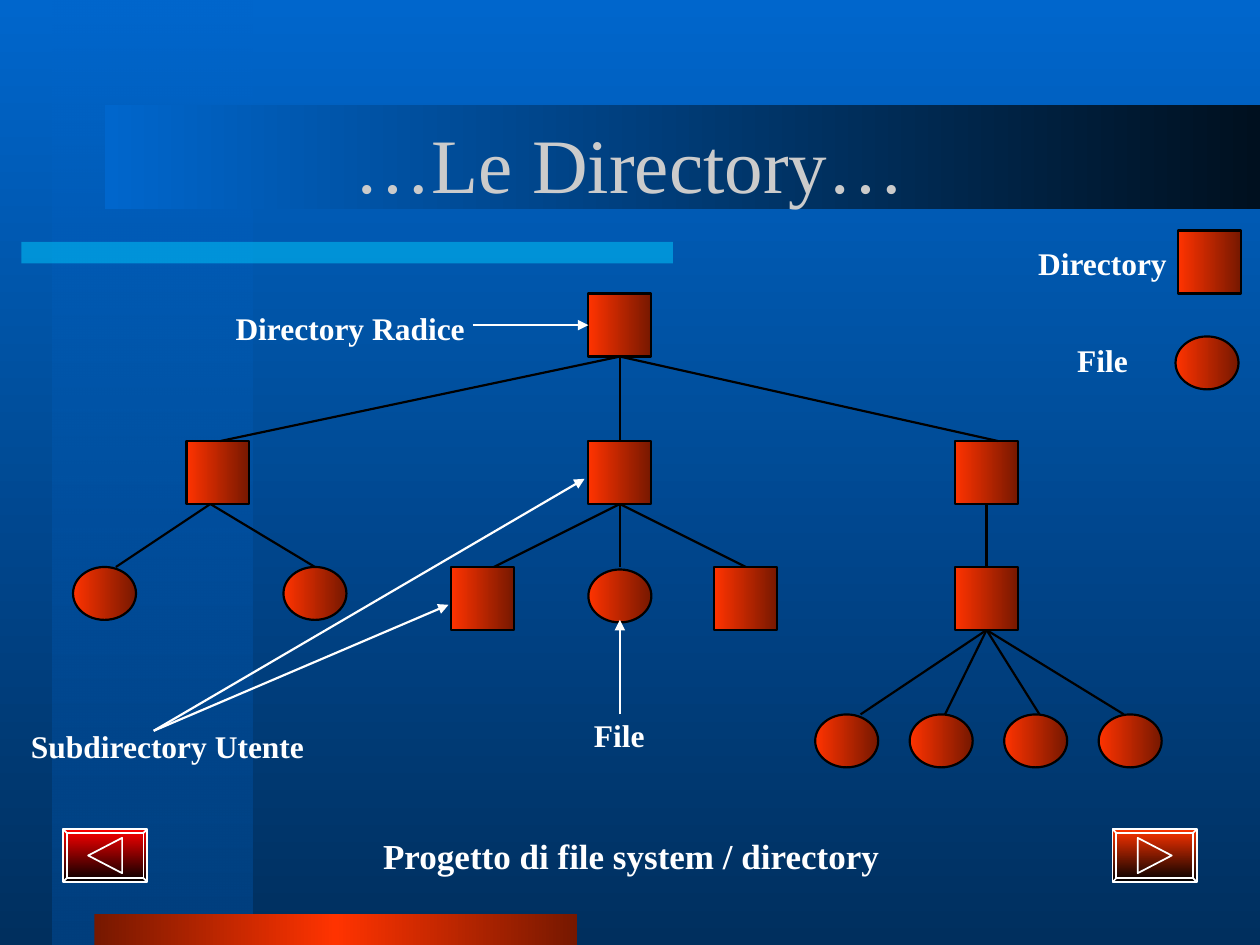
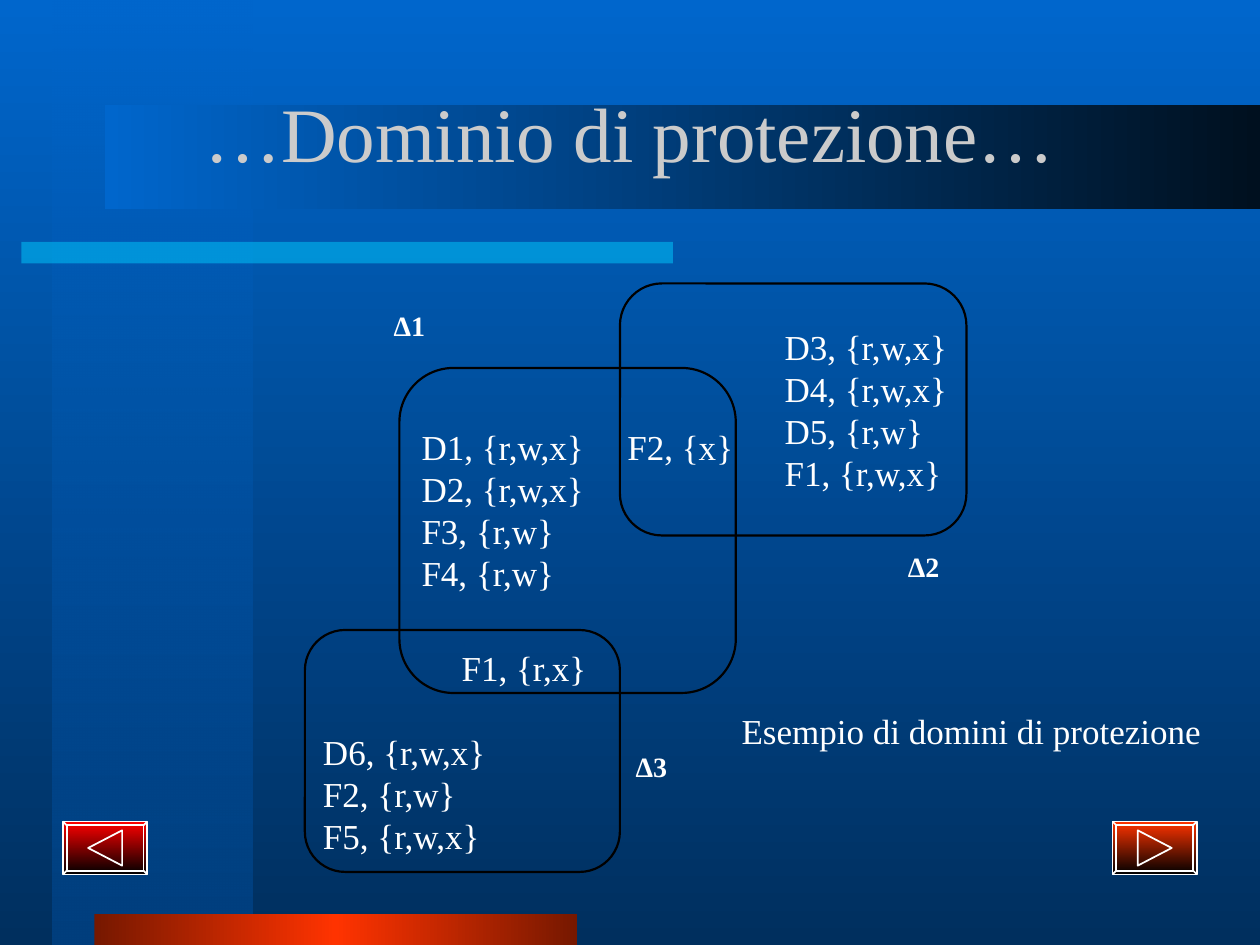
from lxml import etree
from pptx import Presentation
from pptx.dml.color import RGBColor
from pptx.enum.shapes import MSO_CONNECTOR, MSO_SHAPE
from pptx.enum.text import MSO_ANCHOR, PP_ALIGN
from pptx.oxml.ns import qn
from pptx.util import Inches, Pt

RECTANGLE = MSO_SHAPE.RECTANGLE
OVAL = MSO_SHAPE.OVAL
ROUNDED = MSO_SHAPE.ROUNDED_RECTANGLE
STRAIGHT = MSO_CONNECTOR.STRAIGHT
MIDDLE = MSO_ANCHOR.MIDDLE
LEFT, CENTER = PP_ALIGN.LEFT, PP_ALIGN.CENTER

FONT = "Times New Roman"
BLUE = RGBColor(0x00, 0x66, 0xCC)
DEEP_BLUE = RGBColor(0x00, 0x2F, 0x5E)
COLUMN_BLUE = RGBColor(0x00, 0x3F, 0x7E)
NIGHT = RGBColor(0x00, 0x10, 0x1F)
CYAN = RGBColor(0x00, 0xCC, 0xFF)
ORANGE = RGBColor(0xFF, 0x33, 0x00)
RED = RGBColor(0xFF, 0x00, 0x00)
BROWN = RGBColor(0x76, 0x18, 0x00)
BLACK = RGBColor(0x00, 0x00, 0x00)
WHITE = RGBColor(0xFF, 0xFF, 0xFF)
TITLE_GRAY = RGBColor(0xCB, 0xCB, 0xCB)

ACROSS, DOWN = 0, 270
NODE, FILE_HEIGHT = 0.5, 0.42
BUTTON_WIDTH, BUTTON_HEIGHT, BEVEL = 0.67, 0.42, 0.03


def add_alpha(color_element, percent):
    etree.SubElement(color_element, qn("a:alpha")).set("val", str(percent * 1000))


def fill_gradient(owner, fill, angle, colors, first_alpha=100):
    fill.gradient()
    fill.gradient_angle = angle
    stops = owner.element.find(".//" + qn("a:gsLst"))
    for stop in list(stops):
        stops.remove(stop)
    for index, color in enumerate(colors):
        stop = etree.SubElement(stops, qn("a:gs"))
        stop.set("pos", str(100000 * index // (len(colors) - 1)))
        color_element = etree.SubElement(stop, qn("a:srgbClr"))
        color_element.set("val", str(color))
        if index == 0 and first_alpha < 100:
            add_alpha(color_element, first_alpha)


def set_line(shape, color, width):
    shape.line.color.rgb = color
    shape.line.width = Pt(width)


def add_plain_shape(slide, kind, left, top, width, height):
    shape = slide.shapes.add_shape(
        kind, Inches(left), Inches(top), Inches(width), Inches(height))
    shape.shadow.inherit = False
    shape.line.fill.background()
    return shape


def add_gradient_shape(slide, kind, box, angle, colors, first_alpha=100):
    shape = add_plain_shape(slide, kind, *box)
    fill_gradient(shape, shape.fill, angle, colors, first_alpha)
    return shape


def write_lines(text_frame, lines, size, color=WHITE, bold=False, align=CENTER):
    text_frame.vertical_anchor = MIDDLE
    text_frame.text = "\n".join(lines)
    for paragraph in text_frame.paragraphs:
        paragraph.alignment = align
        paragraph.font.name = FONT
        paragraph.font.size = Pt(size)
        paragraph.font.bold = bold
        paragraph.font.color.rgb = color


def set_margins(text_frame, left=0.05, top=0.05, right=0.05, bottom=0.05):
    text_frame.margin_left = Inches(left)
    text_frame.margin_top = Inches(top)
    text_frame.margin_right = Inches(right)
    text_frame.margin_bottom = Inches(bottom)


def add_label(slide, text, left, top, width, height, size=18, bold=True):
    label = slide.shapes.add_textbox(
        Inches(left), Inches(top), Inches(width), Inches(height))
    label.text_frame.word_wrap = True
    set_margins(label.text_frame)
    write_lines(label.text_frame, [text], size, bold=bold)


def add_line(slide, start, end, color=BLACK, arrow=False):
    connector = slide.shapes.add_connector(
        STRAIGHT, *(Inches(value) for value in (*start, *end)))
    set_line(connector, color, 1.25)
    properties = connector.element.spPr
    if arrow:
        tail = etree.SubElement(properties.find(qn("a:ln")), qn("a:tailEnd"))
        tail.set("type", "triangle")
    etree.SubElement(properties, qn("a:effectLst"))


def add_button(slide, left, top, color, points_right):
    box = (left, top, BUTTON_WIDTH, BUTTON_HEIGHT)
    face = add_gradient_shape(slide, RECTANGLE, box, DOWN, [color, BLACK])
    set_line(face, WHITE, 1)

    right, bottom = left + BUTTON_WIDTH, top + BUTTON_HEIGHT
    outer = [(left, top), (right, top), (right, bottom), (left, bottom)]
    inner = [(left + BEVEL, top + BEVEL), (right - BEVEL, top + BEVEL),
             (right - BEVEL, bottom - BEVEL), (left + BEVEL, bottom - BEVEL)]
    near, far = left + 0.2, left + 0.47
    tip, base = (far, near) if points_right else (near, far)
    middle = top + BUTTON_HEIGHT / 2
    triangle = [(tip, middle), (base, middle - 0.14), (base, middle + 0.14)]
    outlines = [(inner, True), (triangle, True)]
    outlines += [(corners, False) for corners in zip(outer, inner)]

    builder = slide.shapes.build_freeform(Inches(inner[0][0]), Inches(inner[0][1]))
    for points, closed in outlines:
        start, *rest = [(Inches(x), Inches(y)) for x, y in points]
        builder.move_to(*start)
        builder.add_line_segments(rest, close=closed)
    edges = builder.convert_to_shape()
    edges.shadow.inherit = False
    edges.fill.background()
    set_line(edges, WHITE, 1)


def add_framed_slide(presentation, title_text, title_top, button_top):
    slide = presentation.slides.add_slide(presentation.slide_layouts[5])
    add_gradient_shape(slide, RECTANGLE, (0.42, 0, 1.58, 7.5), DOWN,
                       [BLUE, COLUMN_BLUE], first_alpha=50)
    bar = add_plain_shape(slide, RECTANGLE, 0.17, 1.92, 5.17, 0.17)
    bar.fill.solid()
    bar.fill.fore_color.rgb = CYAN
    add_alpha(bar.element.spPr.find(".//" + qn("a:srgbClr")), 50)
    add_gradient_shape(slide, RECTANGLE, (0.75, 7.25, 3.83, 0.25), ACROSS,
                       [BROWN, ORANGE, BROWN])
    add_gradient_shape(slide, RECTANGLE, (0.83, 0.83, 9.17, 0.83), ACROSS,
                       [BLUE, NIGHT])
    add_button(slide, 0.5, button_top, RED, points_right=False)
    add_button(slide, 8.83, button_top, ORANGE, points_right=True)

    title = slide.shapes.title
    title.left, title.top = Inches(0.75), Inches(title_top)
    title.width, title.height = Inches(8.5), Inches(1.25)
    write_lines(title.text_frame, [title_text], 44, TITLE_GRAY)
    title.element.getparent().append(title.element)
    return slide


def add_node(slide, kind, left, top):
    height = NODE if kind == RECTANGLE else FILE_HEIGHT
    node = add_gradient_shape(slide, kind, (left, top, NODE, height), ACROSS,
                              [ORANGE, BROWN])
    set_line(node, BLACK, 1.25)


def add_domain(slide, box, lines, **margins):
    domain = add_plain_shape(slide, ROUNDED, *box)
    domain.fill.background()
    set_line(domain, BLACK, 1.25)
    domain.text_frame.word_wrap = True
    set_margins(domain.text_frame, **margins)
    write_lines(domain.text_frame, lines, 20, align=LEFT)


def build_directory_slide(presentation):
    slide = add_framed_slide(presentation, "…Le Directory…", 0.67, 6.58)

    directories = [(4.67, 2.33), (1.48, 3.5), (4.67, 3.5), (7.58, 3.5),
                   (3.58, 4.5), (5.67, 4.5), (7.58, 4.5), (9.35, 1.83)]
    files = [(0.58, 4.5), (2.25, 4.5), (4.67, 4.52), (9.33, 2.67)]
    files += [(6.47 + 0.75 * index, 5.67) for index in range(4)]
    for position in directories:
        add_node(slide, RECTANGLE, *position)
    for position in files:
        add_node(slide, OVAL, *position)

    branches = [
        ((4.92, 2.83), 3.5, [1.75, 4.92, 7.92]),
        ((1.67, 4), 4.5, [0.92, 2.5]),
        ((4.92, 4), 4.5, [3.92, 4.92, 5.92]),
        ((7.83, 4), 4.5, [7.83]),
        ((7.83, 5), 5.67, [6.83, 7.5, 8.25, 8.92]),
    ]
    for parent, child_top, child_centers in branches:
        for center in child_centers:
            add_line(slide, parent, (center, child_top))

    arrows = [((3.75, 2.58), (4.67, 2.58)), ((1.22, 5.8), (4.64, 3.8)),
              ((1.22, 5.8), (3.56, 4.8)), ((4.92, 5.67), (4.92, 4.92))]
    for start, end in arrows:
        add_line(slide, start, end, WHITE, arrow=True)

    add_label(slide, "Directory", 8.1, 1.88, 1.3, 0.42)
    add_label(slide, "File", 8.1, 2.65, 1.3, 0.42)
    add_label(slide, "Directory Radice", 1.58, 2.37, 2.4, 0.46)
    add_label(slide, "Subdirectory Utente", 0.08, 5.69, 2.5, 0.46)
    add_label(slide, "File", 4, 5.6, 1.83, 0.46)
    add_label(slide, "Progetto di file system / directory",
              1.8, 6.58, 6.42, 0.42, size=20)


def build_domain_slide(presentation):
    slide = add_framed_slide(presentation, "…Dominio di protezione…", 0.42, 6.52)

    add_domain(slide, (4.92, 2.25, 2.75, 2),
               ["D3, {r,w,x}", "D4, {r,w,x}", "D5, {r,w}", "F1, {r,w,x}"],
               left=1.21, right=0)
    add_domain(slide, (3.17, 2.92, 2.67, 2.58),
               ["D1, {r,w,x}", "D2, {r,w,x}", "F3, {r,w}", "F4, {r,w}"],
               bottom=0.38)
    add_domain(slide, (2.42, 5, 2.5, 1.92),
               ["D6, {r,w,x}", "F2, {r,w}", "F5, {r,w,x}"], top=0.72)

    add_label(slide, "F2, {x}", 4.8, 3.38, 1.2, 0.33, size=20, bold=False)
    add_label(slide, "F1, {r,x}", 3.46, 5.13, 1.4, 0.33, size=20, bold=False)
    for name, left, top in [("Δ1", 3, 2.42), ("Δ2", 7.08, 4.33), ("Δ3", 4.92, 5.92)]:
        add_label(slide, name, left, top, 0.5, 0.33, size=16)
    add_label(slide, "Esempio di domini di protezione",
              5.71, 5.67, 4, 0.25, size=20, bold=False)


def main():
    presentation = Presentation()
    presentation.slide_width = Inches(10)
    presentation.slide_height = Inches(7.5)
    master = presentation.slide_master
    fill_gradient(master, master.background.fill, DOWN, [BLUE, DEEP_BLUE])
    build_directory_slide(presentation)
    build_domain_slide(presentation)
    presentation.save("out.pptx")


if __name__ == "__main__":
    main()
